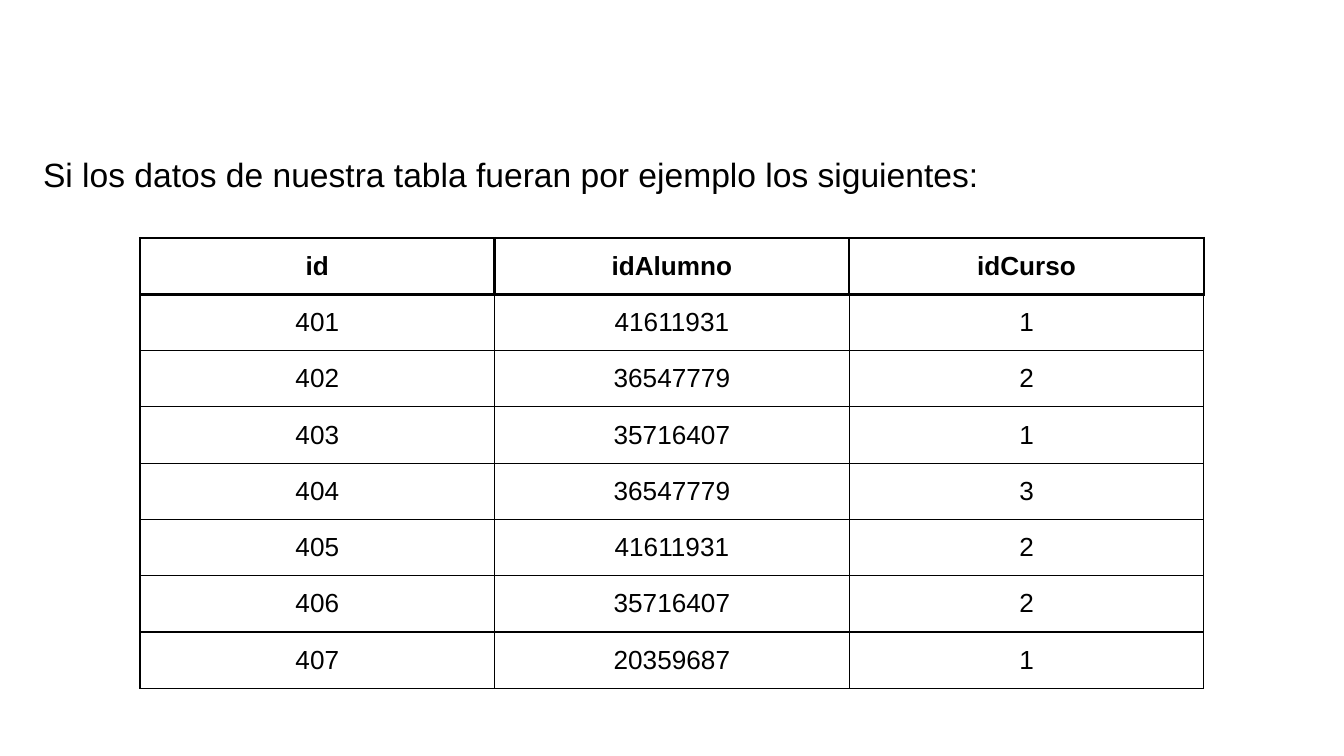
from pptx import Presentation
from pptx.dml.color import RGBColor
from pptx.enum.text import MSO_ANCHOR, PP_ALIGN as Align
from pptx.oxml import parse_xml
from pptx.oxml.ns import nsdecls
from pptx.util import Pt

BLACK = RGBColor(0, 0, 0)
INSET = Pt(7.2)

ENROLMENTS = [
    ("id", "idAlumno", "idCurso"),
    ("401", "41611931", "1"),
    ("402", "36547779", "2"),
    ("403", "35716407", "1"),
    ("404", "36547779", "3"),
    ("405", "41611931", "2"),
    ("406", "35716407", "2"),
    ("407", "20359687", "1"),
]


def write_text(frame, text, size, bold=False, align=Align.LEFT, spacing=1.0):
    paragraph = frame.paragraphs[0]
    paragraph.alignment = align
    paragraph.line_spacing = spacing
    run = paragraph.add_run()
    run.text = text
    run.font.name = "Arial"
    run.font.size = Pt(size)
    run.font.bold = bold
    run.font.color.rgb = BLACK


def set_insets(holder):
    holder.margin_left = holder.margin_right = INSET
    holder.margin_top = holder.margin_bottom = INSET


def set_borders(cell, **widths):
    properties = cell._tc.get_or_add_tcPr()
    for position, (side, width) in enumerate(widths.items()):
        properties.insert(position, parse_xml(
            f'<a:ln{side} {nsdecls("a")} w="{Pt(width)}">'
            f'<a:solidFill><a:srgbClr val="{BLACK}"/></a:solidFill>'
            f'<a:prstDash val="solid"/></a:ln{side}>'))


def add_intro(slide, left, top, width, height):
    intro = slide.shapes.add_textbox(Pt(left), Pt(top), Pt(width), Pt(height)).text_frame
    intro.word_wrap = True
    set_insets(intro)
    write_text(intro, "Si los datos de nuestra tabla fueran por ejemplo los siguientes:",
               size=18, spacing=1.15)


def add_enrolments(slide, left, top, width, height):
    columns = len(ENROLMENTS[0])
    table = slide.shapes.add_table(len(ENROLMENTS), columns, Pt(left), Pt(top),
                                   Pt(width), Pt(height)).table
    table.first_row = table.horz_banding = False
    for column in table.columns:
        column.width = Pt(width / columns)
    for row in table.rows:
        row.height = Pt(height / len(ENROLMENTS))
    for r, record in enumerate(ENROLMENTS):
        header = r == 0
        line = 1.5 if header else 0.75
        for c, value in enumerate(record):
            cell = table.cell(r, c)
            cell.fill.background()
            cell.vertical_anchor = MSO_ANCHOR.TOP
            set_insets(cell)
            set_borders(cell, L=line, R=line, T=1.5 if r < 2 else line, B=line)
            write_text(cell.text_frame, value, size=14, bold=header, align=Align.CENTER)


deck = Presentation()
deck.slide_width, deck.slide_height = Pt(720), Pt(405)
slide = deck.slides.add_slide(deck.slide_layouts[6])
add_enrolments(slide, left=75, top=127.5, width=570, height=240.8)
add_intro(slide, left=16, top=72, width=688, height=55.5)
deck.save("out.pptx")
